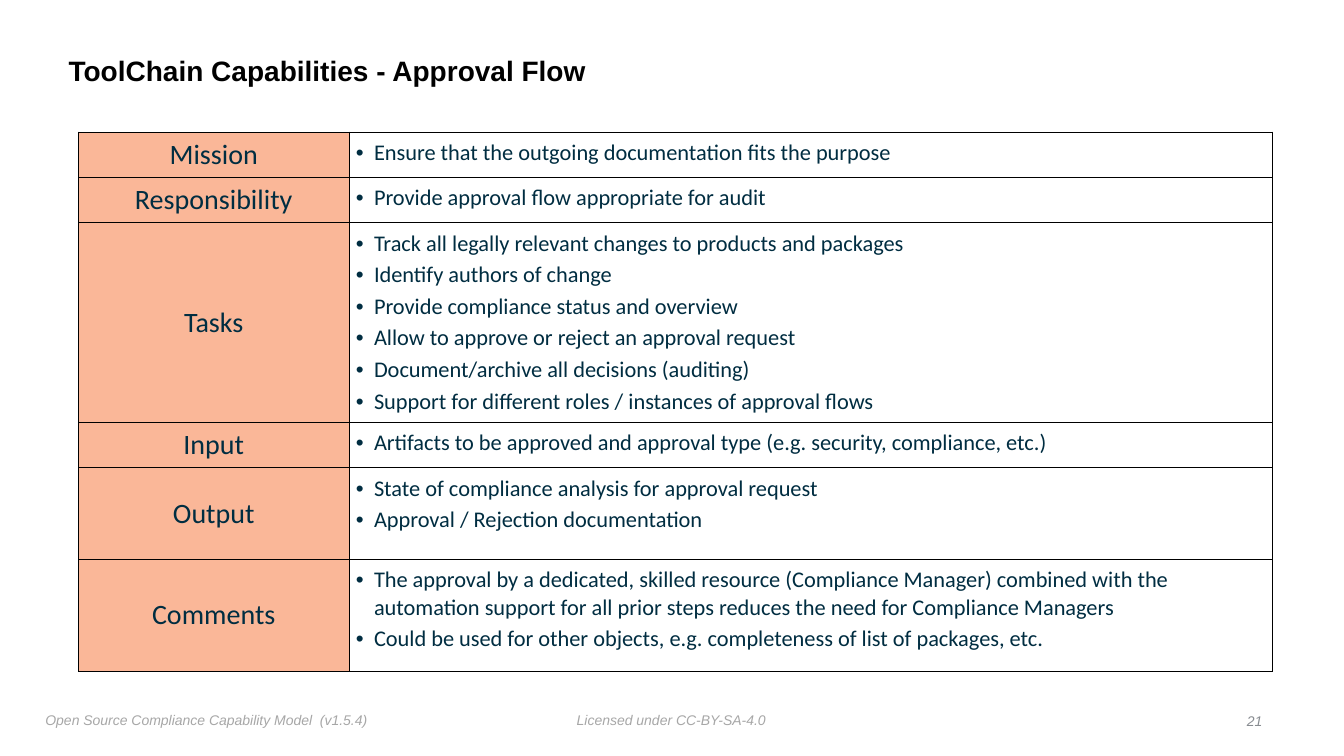
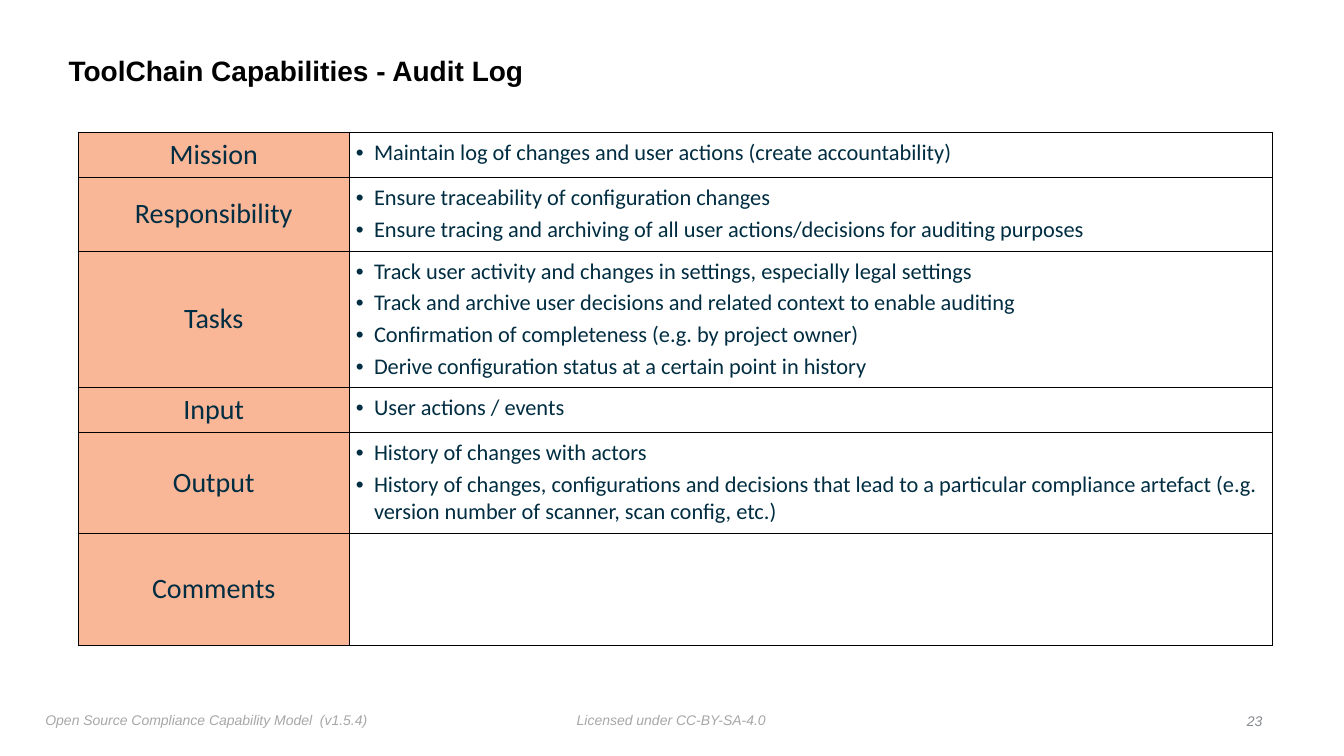
from dataclasses import dataclass

from lxml import etree
from pptx import Presentation
from pptx.dml.color import RGBColor
from pptx.enum.text import MSO_ANCHOR, PP_ALIGN
from pptx.oxml.ns import qn
from pptx.slide import Slide
from pptx.table import _Cell
from pptx.text.text import Font, _Paragraph
from pptx.util import Inches, Length, Pt

LEFT, CENTER, RIGHT = PP_ALIGN.LEFT, PP_ALIGN.CENTER, PP_ALIGN.RIGHT
TOP, MIDDLE = MSO_ANCHOR.TOP, MSO_ANCHOR.MIDDLE

BLACK = "000000"
FOOTER_GRAY = "A7A7A7"
NUMBER_GRAY = "888C91"
TABLE_TEXT = "002D41"
LABEL_FILL = "FAB798"

HEADING_FONT = "Arial"
TABLE_FONT = "Calibri"
BULLET_INDENT = Inches(0.18)
COLUMN_WIDTHS = (2.68, 9.16)
ROW_LABELS = ("Mission", "Responsibility", "Tasks", "Input", "Output", "Comments")


@dataclass(frozen=True)
class TextStyle:
    font: str
    size: int
    color: str
    bold: bool = False
    italic: bool = False


@dataclass(frozen=True)
class TextBox:
    left: float
    top: float
    width: float
    height: float
    style: TextStyle
    align: PP_ALIGN = LEFT
    anchor: MSO_ANCHOR = TOP
    wrap: bool = False


@dataclass(frozen=True)
class Row:
    height: float
    bullets: tuple[str, ...] = ()


@dataclass(frozen=True)
class Capability:
    name: str
    page: int
    rows: tuple[Row, ...]


FOOTER_STYLE = TextStyle(HEADING_FONT, 10, FOOTER_GRAY, italic=True)
LABEL_STYLE = TextStyle(TABLE_FONT, 20, TABLE_TEXT)
BULLET_STYLE = TextStyle(TABLE_FONT, 16, TABLE_TEXT)

TITLE = TextBox(0.63, 0.39, 10.75, 0.65, TextStyle(HEADING_FONT, 20, BLACK, bold=True),
                anchor=MIDDLE, wrap=True)
LICENSE = TextBox(5.67, 7.01, 1.99, 0.25, FOOTER_STYLE)
MODEL = TextBox(0.4, 7.01, 3.32, 0.27, FOOTER_STYLE)
PAGE_NUMBER = TextBox(12.3, 7.03, 0.27, 0.25,
                      TextStyle(HEADING_FONT, 10, NUMBER_GRAY, italic=True), RIGHT, MIDDLE)

CAPABILITIES = (
    Capability("Approval Flow", 21, (
        Row(0.45, ("Ensure that the outgoing documentation fits the purpose",)),
        Row(0.45, ("Provide approval flow appropriate for audit",)),
        Row(1.98, (
            "Track all legally relevant changes to products and packages",
            "Identify authors of change",
            "Provide compliance status and overview",
            "Allow to approve or reject an approval request",
            "Document/archive all decisions (auditing)",
            "Support for different roles / instances of approval flows",
        )),
        Row(0.45, ("Artifacts to be approved and approval type "
                   "(e.g. security, compliance, etc.)",)),
        Row(0.91, (
            "State of compliance analysis for approval request",
            "Approval / Rejection documentation",
        )),
        Row(1.11, (
            "The approval by a dedicated, skilled resource (Compliance Manager) combined with "
            "the automation support for all prior steps reduces the need for "
            "Compliance Managers",
            "Could be used for other objects, e.g. completeness of list of packages, etc.",
        )),
    )),
    Capability("Audit Log", 23, (
        Row(0.45, ("Maintain log of changes and user actions (create accountability)",)),
        Row(0.73, (
            "Ensure traceability of configuration changes",
            "Ensure tracing and archiving of all user actions/decisions for auditing purposes",
        )),
        Row(1.35, (
            "Track user activity and changes in settings, especially legal settings",
            "Track and archive user decisions and related context to enable auditing",
            "Confirmation of completeness (e.g. by project owner)",
            "Derive configuration status at a certain point in history",
        )),
        Row(0.45, ("User actions / events",)),
        Row(1.0, (
            "History of changes with actors",
            "History of changes, configurations and decisions that lead to a particular "
            "compliance artefact (e.g. version number of scanner, scan config, etc.)",
        )),
        Row(1.11),
    )),
)


def rgb(color: str) -> RGBColor:
    return RGBColor.from_string(color)


def apply_style(font: Font, style: TextStyle) -> None:
    font.name = style.font
    font.size = Pt(style.size)
    font.bold = style.bold
    font.italic = style.italic
    font.color.rgb = rgb(style.color)


def add_text(slide: Slide, box: TextBox, text: str) -> _Paragraph:
    shape = slide.shapes.add_textbox(Inches(box.left), Inches(box.top),
                                     Inches(box.width), Inches(box.height))
    frame = shape.text_frame
    frame.word_wrap = box.wrap
    frame.vertical_anchor = box.anchor
    frame.margin_left = frame.margin_right = Inches(0.05)
    frame.margin_top = frame.margin_bottom = Inches(0.05)
    paragraph = frame.paragraphs[0]
    paragraph.text = text
    paragraph.alignment = box.align
    apply_style(paragraph.font, box.style)
    return paragraph


def set_margins(cell: _Cell, margin: Length) -> None:
    cell.margin_left = cell.margin_right = margin
    cell.margin_top = cell.margin_bottom = margin


def add_borders(cell: _Cell) -> None:
    """Draw thin black lines on all four sides; call before setting the fill."""
    properties = cell._tc.get_or_add_tcPr()
    for side in ("a:lnL", "a:lnR", "a:lnT", "a:lnB"):
        line = etree.SubElement(properties, qn(side), w=str(Pt(0.5)))
        fill = etree.SubElement(line, qn("a:solidFill"))
        etree.SubElement(fill, qn("a:srgbClr"), val=BLACK)


def fill_label(cell: _Cell, label: str) -> None:
    add_borders(cell)
    cell.fill.solid()
    cell.fill.fore_color.rgb = rgb(LABEL_FILL)
    set_margins(cell, Inches(0))
    cell.vertical_anchor = MIDDLE
    paragraph = cell.text_frame.paragraphs[0]
    paragraph.text = label
    paragraph.alignment = CENTER
    apply_style(paragraph.font, LABEL_STYLE)


def fill_bullets(cell: _Cell, bullets: tuple[str, ...]) -> None:
    add_borders(cell)
    cell.fill.background()
    set_margins(cell, Inches(0.07))
    frame = cell.text_frame
    for index, bullet in enumerate(bullets):
        paragraph = frame.add_paragraph() if index else frame.paragraphs[0]
        paragraph.text = bullet
        if index:
            paragraph.space_before = Pt(3)
        properties = paragraph._p.get_or_add_pPr()
        properties.set("marL", str(BULLET_INDENT))
        properties.set("indent", str(-BULLET_INDENT))
        etree.SubElement(properties, qn("a:buFont"), typeface="Arial")
        etree.SubElement(properties, qn("a:buChar"), char="•")
        apply_style(paragraph.font, BULLET_STYLE)


def add_capability_table(slide: Slide, rows: tuple[Row, ...]) -> None:
    frame = slide.shapes.add_table(len(rows), len(COLUMN_WIDTHS), Inches(0.78), Inches(1.31),
                                   Inches(sum(COLUMN_WIDTHS)),
                                   Inches(sum(row.height for row in rows)))
    table = frame.table
    table.first_row = table.horz_banding = False
    for column, width in zip(table.columns, COLUMN_WIDTHS):
        column.width = Inches(width)
    for index, (label, row) in enumerate(zip(ROW_LABELS, rows)):
        table.rows[index].height = Inches(row.height)
        fill_label(table.cell(index, 0), label)
        fill_bullets(table.cell(index, 1), row.bullets)


def add_capability_slide(presentation: Presentation, capability: Capability) -> None:
    slide = presentation.slides.add_slide(presentation.slide_layouts[6])
    add_text(slide, LICENSE, "Licensed under CC-BY-SA-4.0")
    add_text(slide, MODEL, "Open Source Compliance Capability Model  (v1.5.4)")
    title = add_text(slide, TITLE, f"ToolChain Capabilities - {capability.name}")
    title.line_spacing = 0.9
    add_capability_table(slide, capability.rows)
    add_text(slide, PAGE_NUMBER, str(capability.page))


def main() -> None:
    presentation = Presentation()
    presentation.slide_width = Inches(13.33)
    presentation.slide_height = Inches(7.5)
    for capability in CAPABILITIES:
        add_capability_slide(presentation, capability)
    presentation.save("out.pptx")


if __name__ == "__main__":
    main()
